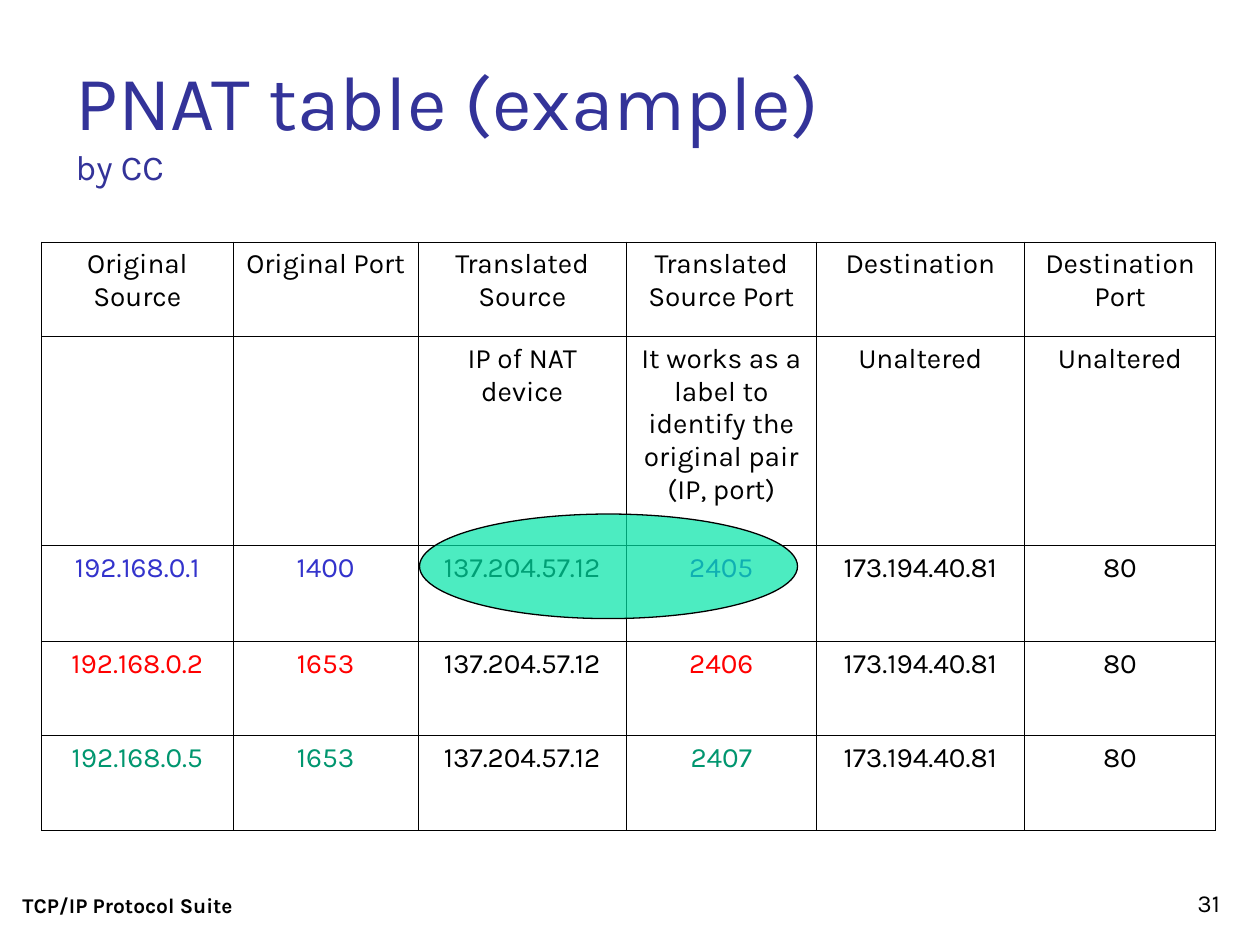
from dataclasses import dataclass
from typing import Optional

from lxml.etree import SubElement
from pptx import Presentation
from pptx.dml.color import RGBColor
from pptx.enum.shapes import MSO_SHAPE
from pptx.enum.text import MSO_ANCHOR, PP_ALIGN
from pptx.oxml.ns import qn
from pptx.util import Inches, Pt


@dataclass(frozen=True)
class Theme:
    font: str = "Karla"
    black: str = "000000"
    title: str = "333399"
    blue: str = "3333CC"
    red: str = "FF0000"
    green: str = "00966F"
    highlight: str = "00E4A8"
    highlight_opacity: int = 70
    title_size: float = 44
    subtitle_size: float = 20
    table_size: float = 16
    number_size: float = 14
    footer_size: float = 12
    border_width: float = 0.45
    outline_width: float = 0.75


@dataclass(frozen=True)
class Box:
    left: float
    top: float
    width: float
    height: float

    def lengths(self) -> tuple:
        return tuple(Inches(n) for n in (self.left, self.top, self.width, self.height))


@dataclass(frozen=True)
class TableRow:
    height: float
    texts: tuple
    pair_color: Optional[str] = None


@dataclass(frozen=True)
class Footer:
    box: Box
    text: str
    size: float
    alignment: PP_ALIGN
    bold: bool = False


THEME = Theme()
TITLE_BOX = Box(0.5, 0.33, 9, 1.25)
TABLE_BOX = Box(0.33, 1.92, 9.33, 4.67)
HIGHLIGHT_BOX = Box(3.33, 4.08, 3, 0.83)
COLUMN_WIDTHS = (1.52, 1.47, 1.65, 1.51, 1.65, 1.52)
PAIR_COLUMNS = (0, 1, 3)


def translation(height: float, source: str, port: str, translated_port: str, color: str) -> TableRow:
    """Return a row of the table whose address pair and label share a colour."""
    texts = (source, port, "137.204.57.12", translated_port, "173.194.40.81", "80")
    return TableRow(height, texts, color)


ROWS = (
    TableRow(0.75, ("Original Source", "Original Port", "Translated Source",
                    "Translated Source Port", "Destination", "Destination Port")),
    TableRow(1.66, ("", "", "IP of NAT device",
                    "It works as a label to identify the original pair (IP, port)",
                    "Unaltered", "Unaltered")),
    translation(0.76, "192.168.0.1", "1400", "2405", THEME.blue),
    translation(0.75, "192.168.0.2", "1653", "2406", THEME.red),
    translation(0.75, "192.168.0.5", "1653", "2407", THEME.green),
)
FOOTERS = (
    Footer(Box(0.08, 6.83, 3.17, 0.5), "TCP/IP Protocol Suite", THEME.footer_size,
           PP_ALIGN.LEFT, bold=True),
    Footer(Box(7.7, 6.83, 2.08, 0.5), "31", THEME.number_size, PP_ALIGN.RIGHT),
)


def format_font(font, size: float, color: str, bold: bool = False) -> None:
    font.name = THEME.font
    font.size = Pt(size)
    font.bold = bold
    font.color.rgb = RGBColor.from_string(color)


def add_footer(slide, footer: Footer) -> None:
    text_frame = slide.shapes.add_textbox(*footer.box.lengths()).text_frame
    text_frame.word_wrap = True
    text_frame.vertical_anchor = MSO_ANCHOR.BOTTOM
    text_frame.text = footer.text
    paragraph = text_frame.paragraphs[0]
    paragraph.alignment = footer.alignment
    format_font(paragraph.runs[0].font, footer.size, THEME.black, footer.bold)


def fill_title(slide) -> None:
    title = slide.shapes.title
    title.left, title.top, title.width, title.height = TITLE_BOX.lengths()
    title.text_frame.text = "PNAT table (example)\vby CC"
    title.text_frame.vertical_anchor = MSO_ANCHOR.MIDDLE
    paragraph = title.text_frame.paragraphs[0]
    paragraph.alignment = PP_ALIGN.LEFT
    for run, size in zip(paragraph.runs, (THEME.title_size, THEME.subtitle_size)):
        format_font(run.font, size, THEME.title)


def add_borders(cell) -> None:
    """Draw all four sides; call before filling, since lines precede the fill in the XML."""
    properties = cell._tc.get_or_add_tcPr()
    for side in ("a:lnL", "a:lnR", "a:lnT", "a:lnB"):
        line = SubElement(properties, qn(side), w=str(Pt(THEME.border_width)))
        SubElement(SubElement(line, qn("a:solidFill")), qn("a:srgbClr"), val=THEME.black)


def format_cell(cell, text: str, color: str) -> None:
    add_borders(cell)
    cell.fill.background()
    cell.text_frame.text = text
    paragraph = cell.text_frame.paragraphs[0]
    paragraph.alignment = PP_ALIGN.CENTER
    for run in paragraph.runs:
        format_font(run.font, THEME.table_size, color)


def add_translation_table(slide) -> None:
    frame = slide.shapes.add_table(len(ROWS), len(COLUMN_WIDTHS), *TABLE_BOX.lengths())
    table = frame.table
    table.first_row = False
    table.horz_banding = False
    for column, width in zip(table.columns, COLUMN_WIDTHS):
        column.width = Inches(width)
    for row_index, row in enumerate(ROWS):
        table.rows[row_index].height = Inches(row.height)
        for column_index, text in enumerate(row.texts):
            colored = row.pair_color and column_index in PAIR_COLUMNS
            color = row.pair_color if colored else THEME.black
            format_cell(table.cell(row_index, column_index), text, color)


def add_highlight(slide) -> None:
    ellipse = slide.shapes.add_shape(MSO_SHAPE.OVAL, *HIGHLIGHT_BOX.lengths())
    ellipse.shadow.inherit = False
    ellipse.fill.solid()
    ellipse.fill.fore_color.rgb = RGBColor.from_string(THEME.highlight)
    color = ellipse._element.spPr.find(qn("a:solidFill")).find(qn("a:srgbClr"))
    SubElement(color, qn("a:alpha"), val=str(THEME.highlight_opacity * 1000))
    ellipse.line.color.rgb = RGBColor.from_string(THEME.black)
    ellipse.line.width = Pt(THEME.outline_width)


def main() -> None:
    presentation = Presentation()
    presentation.slide_width = Inches(10)
    presentation.slide_height = Inches(7.5)
    title_only = presentation.slide_layouts[5]
    slide = presentation.slides.add_slide(title_only)
    for footer in FOOTERS:
        add_footer(slide, footer)
    fill_title(slide)
    add_translation_table(slide)
    add_highlight(slide)
    presentation.save("out.pptx")


if __name__ == "__main__":
    main()
